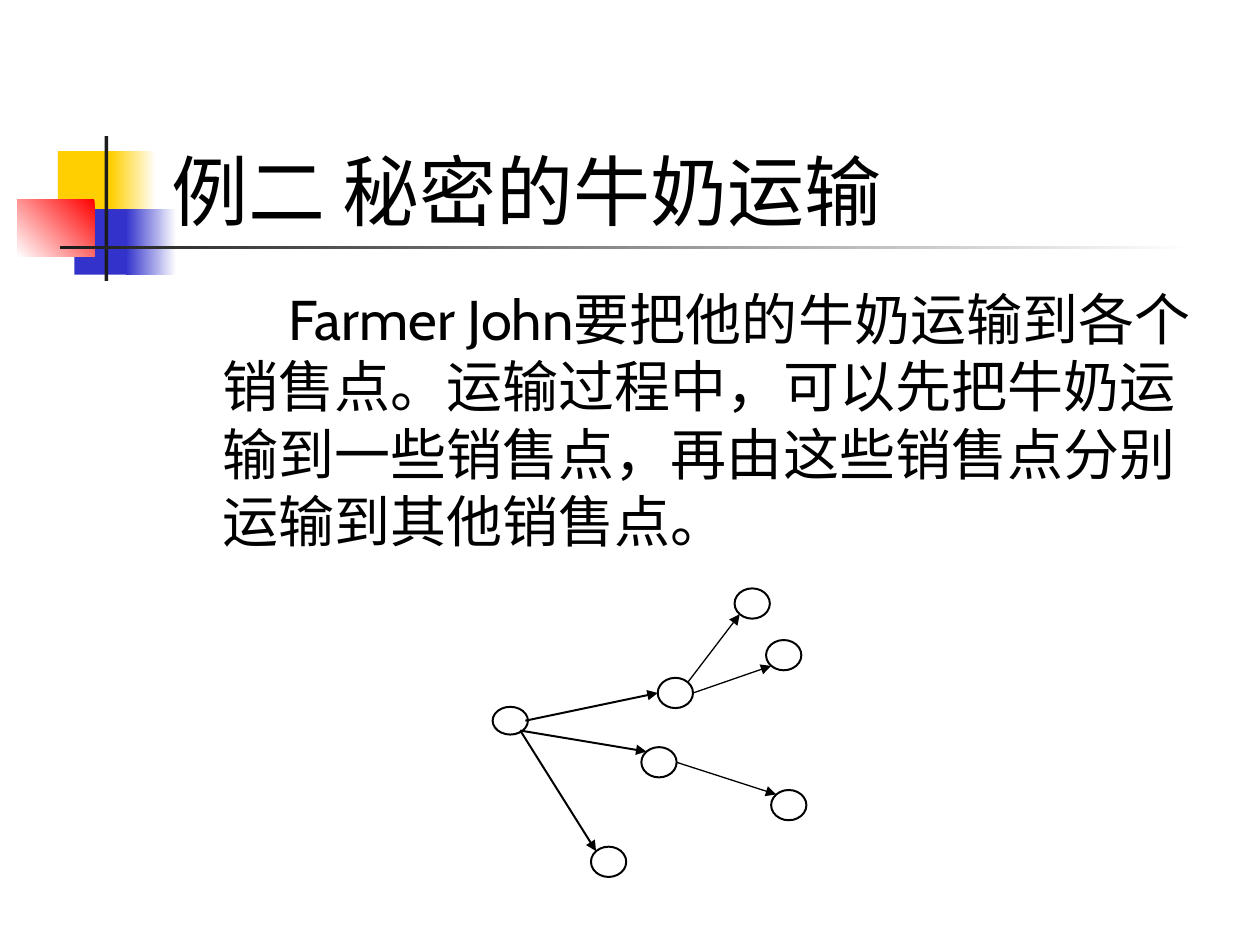
from dataclasses import dataclass
from pptx import Presentation
from pptx.dml.color import RGBColor as RGB
from pptx.enum.shapes import MSO_CONNECTOR as Link, MSO_SHAPE as Kind
from pptx.enum.text import MSO_ANCHOR as Anchor, PP_ALIGN as Align
from pptx.oxml.ns import qn
from pptx.util import Inches, Pt
from lxml.etree import SubElement


@dataclass(frozen=True)
class Theme:
    font: str = "Cabin"
    title: int = 44
    body: int = 32
    black: str = "000000"
    white: str = "FFFFFF"
    gold: str = "FFCF01"
    blue: str = "3333CC"
    red: str = "FF0000"
    dark: str = "1C1C1C"
    thick: float = 1.13
    thin: float = 0.75


THEME = Theme()
TITLE = "例二 秘密的牛奶运输"
BODY = ("Farmer John要把他的牛奶运输到各个销售点。运输过程中，可以先把牛奶运输到"
        "一些销售点，再由这些销售点分别运输到其他销售点。")


def color(name):
    return RGB.from_string(name)


def place(shape, box):
    for key, size in zip(("left", "top", "width", "height"), box):
        setattr(shape, key, Inches(size))


def write(shape, text, size, anchor):
    frame = shape.text_frame
    for key, val in {"word_wrap": True, "vertical_anchor": anchor}.items():
        setattr(frame, key, val)
    frame.text = text
    para = frame.paragraphs[0]
    para.alignment = Align.LEFT
    for key, val in {"name": THEME.font, "size": Pt(size)}.items():
        setattr(para.font, key, val)
    para.font.color.rgb = color(THEME.black)
    return para


def block(shapes, box, tint, fade=None, angle=180):
    """Borderless rectangle, plain or running from tint to fade."""
    rect = shapes.add_shape(Kind.RECTANGLE, *map(Inches, box))
    rect.shadow.inherit = False
    rect.line.fill.background()
    if fade is None:
        rect.fill.solid()
        rect.fill.fore_color.rgb = color(tint)
        return
    rect.fill.gradient()
    rect.fill.gradient_angle = angle
    for stop, name in zip(rect.fill.gradient_stops, (tint, fade)):
        stop.color.rgb = color(name)


def motif(slide, x, y):
    """Coloured squares with the crossing rules."""
    t = THEME
    parts = [
        ((0.32, 0.12, 0.48, 0.52), t.gold),
        ((0.74, 0.12, 0.36, 0.52), t.white, t.gold),
        ((0.45, 0.58, 0.46, 0.52), t.blue),
        ((0.86, 0.58, 0.4, 0.52), t.white, t.blue),
        ((0, 0.5, 0.61, 0.46), t.red, t.white, 225),
        ((0.69, 0, 0.03, 1.15), t.dark),
        ((0.34, 0.87, 9, 0.03), t.white, t.dark),
    ]
    for (dx, dy, w, h), *tints in parts:
        block(slide.shapes, (x + dx, y + dy, w, h), *tints)


def heading(slide, box):
    title = slide.shapes.title
    place(title, box)
    write(title, TITLE, THEME.title, Anchor.BOTTOM)
    slide.shapes._spTree.append(title._element)  # in front of the motif


def story(slide, box):
    text = slide.shapes.add_textbox(*map(Inches, box))
    para = write(text, BODY, THEME.body, Anchor.TOP)
    props = para._p.get_or_add_pPr()
    for key, size in {"marL": 0.38, "indent": 0.52}.items():
        props.set(key, str(Inches(size)))


def arrow(shapes, start, end, width):
    line = shapes.add_connector(Link.STRAIGHT, *map(Inches, (*start, *end)))
    line.line.color.rgb = color(THEME.black)
    line.line.width = Pt(width)
    SubElement(line.line._get_or_add_ln(), qn("a:tailEnd"), type="triangle")
    SubElement(line._element.spPr, qn("a:effectLst"))


def graph(slide, x, y):
    """Tree of sale points; arrows meet the ovals at their eight sites."""
    shapes = slide.shapes.add_group_shape().shapes
    wide, high, diag = 0.28, 0.24, 0.71
    nodes = {"root": (0, 0.94), "mid": (1.31, 0.71), "low": (1.18, 1.26),
             "foot": (0.78, 2.05), "top": (1.92, 0), "side": (2.17, 0.41),
             "end": (2.21, 1.6)}
    sites = {"L": (-1, 0), "R": (1, 0), "TL": (-diag, -diag),
             "TR": (diag, -diag), "BL": (-diag, diag), "BR": (diag, diag)}
    edges = [
        ("root", "R", "mid", "L", THEME.thick),
        ("root", "BR", "low", "TL", THEME.thick),
        ("root", "BR", "foot", "TL", THEME.thick),
        ("mid", "TR", "top", "BL", THEME.thin),
        ("mid", "R", "side", "BL", THEME.thin),
        ("low", "R", "end", "TL", THEME.thin),
    ]

    def size(name):
        return (wide, 0.22 if name == "root" else high)

    def point(name, site):
        (dx, dy), (sx, sy), (w, h) = nodes[name], sites[site], size(name)
        inset = 0.02 if name == "root" else 0
        return x + dx + w / 2 * (1 + sx) - inset, y + dy + h / 2 * (1 + sy)

    # Sale points
    for name, (dx, dy) in nodes.items():
        oval = shapes.add_shape(
            Kind.OVAL, *map(Inches, (x + dx, y + dy, *size(name))))
        oval.shadow.inherit = False
        oval.fill.solid()
        oval.fill.fore_color.rgb = color(THEME.white)
        oval.line.color.rgb = color(THEME.black)
        oval.line.width = Pt(THEME.thick)

    # Routes
    for start, out, end, into, width in edges:
        arrow(shapes, point(start, out), point(end, into), width)


def main():
    deck = Presentation()
    deck.slide_width, deck.slide_height = Inches(10), Inches(7.5)
    slide = deck.slides.add_slide(deck.slide_layouts[5])
    motif(slide, 0.14, 1.08)
    heading(slide, (1.26, 0.67, 8.52, 1.25))
    story(slide, (1.29, 2.21, 8.5, 2.29))
    graph(slide, 3.91, 4.67)
    deck.save("out.pptx")


if __name__ == "__main__":
    main()
